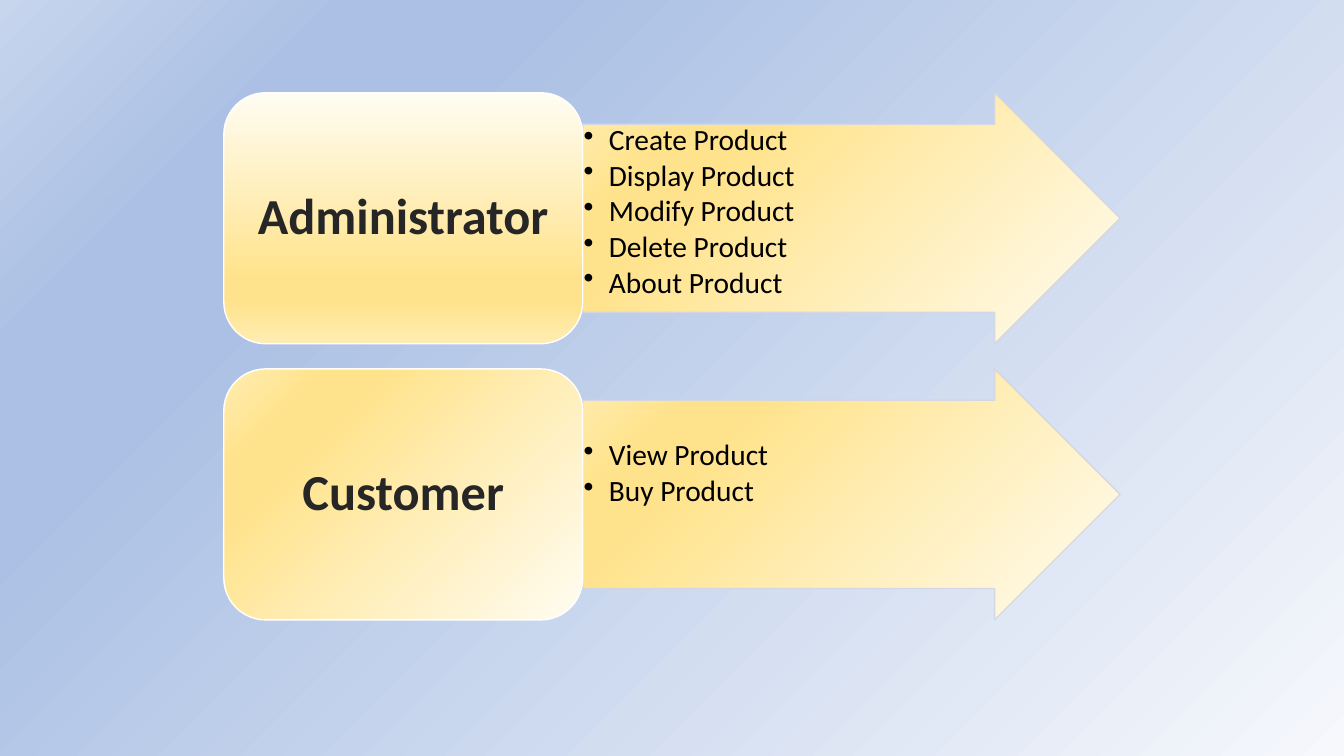
from dataclasses import dataclass
from typing import Optional

from lxml import etree
from pptx import Presentation
from pptx.dml.color import RGBColor
from pptx.enum.shapes import MSO_SHAPE
from pptx.enum.text import MSO_ANCHOR, PP_ALIGN
from pptx.oxml.ns import qn
from pptx.util import Inches, Pt

ARROW, BOX = MSO_SHAPE.RIGHT_ARROW, MSO_SHAPE.ROUNDED_RECTANGLE
TOP, MIDDLE = MSO_ANCHOR.TOP, MSO_ANCHOR.MIDDLE
LEFT, CENTER = PP_ALIGN.LEFT, PP_ALIGN.CENTER

FONT = "Calibri"
BLUES = ((0, "F6F8FC"), (74, "ABC0E4"), (83, "ABC0E4"), (100, "C7D5ED"))
GOLDS = ((0, "FFFCF2"), (74, "FFE38C"), (83, "FFE38C"), (100, "FFECB2"))
BOX_LEFT, BOX_WIDTH, ARROW_WIDTH = 2.22, 3.56, 5.33
FIRST_TOP, ROW_HEIGHT, ROW_PITCH = 0.92, 2.49, 2.74


@dataclass
class Role:
    name: str
    actions: list[str]
    angle: Optional[int] = None
    list_inset: float = 0.01


ROLES = [
    Role("Administrator", ["Create Product", "Display Product", "Modify Product",
                           "Delete Product", "About Product"], angle=90),
    Role("Customer", ["View Product", "Buy Product"], list_inset=0.4),
]


def color(value: str) -> RGBColor:
    return RGBColor.from_string(value)


def add_xml(parent, tag: str, **attrs):
    return etree.SubElement(parent, qn(tag), {k: str(v) for k, v in attrs.items()})


def set_gradient(fill, owner, stops, angle: Optional[int] = None) -> None:
    fill.gradient()
    grad = next(owner.iter(qn("a:gradFill")))
    grad.clear()
    grad.set("rotWithShape", "1")
    stop_list = add_xml(grad, "a:gsLst")
    for pos, value in stops:
        stop = add_xml(stop_list, "a:gs", pos=pos * 1000)
        add_xml(stop, "a:srgbClr", val=value)
    if angle is None:
        shade = add_xml(grad, "a:path", path="circle")
        add_xml(shade, "a:fillToRect", l=100000, t=100000)
    else:
        add_xml(grad, "a:lin", ang=angle * 60000, scaled=0)


def add_block(s, kind, left: float, top: float, width: float, line: str,
              angle: Optional[int] = None, opacity: int = 100):
    sp = s.shapes.add_shape(kind, Inches(left), Inches(top),
                            Inches(width), Inches(ROW_HEIGHT))
    sp.shadow.inherit = False
    set_gradient(sp.fill, sp.element, GOLDS, angle)
    sp.line.color.rgb = color(line)
    sp.line.width = Pt(1)
    if opacity < 100:
        clr = next(sp.line._ln.iter(qn("a:srgbClr")))
        add_xml(clr, "a:alpha", val=opacity * 1000)
    return sp


def set_text(sp, lines: list[str], *, size: int, fill: str, after: float,
             insets: tuple[float, float, float, float], anchor=TOP, align=LEFT,
             bold: bool = False, bullet: bool = False,
             outline: Optional[str] = None) -> None:
    tf = sp.text_frame
    tf.word_wrap = True
    tf.vertical_anchor = anchor
    tf.margin_left, tf.margin_top, tf.margin_right, tf.margin_bottom = map(Inches, insets)
    for i, text in enumerate(lines):
        p = tf.add_paragraph() if i else tf.paragraphs[0]
        p.alignment = align
        p.line_spacing = 0.9
        p.space_after = Pt(after)
        if bullet:
            p.level = 1
            ppr = p._p.get_or_add_pPr()
            ppr.set("marL", str(Inches(0.25)))
            ppr.set("indent", str(Inches(-0.25)))
            add_xml(ppr, "a:buChar", char="•")
        r = p.add_run()
        r.text = text
        r.font.name, r.font.size, r.font.bold = FONT, Pt(size), bold
        r.font.color.rgb = color(fill)
        if outline:
            ln = etree.Element(qn("a:ln"), w=str(Pt(1.06)))
            add_xml(add_xml(ln, "a:solidFill"), "a:srgbClr", val=outline)
            r.font._element.insert(0, ln)


def add_role(s, role: Role, top: float) -> None:
    arrow = add_block(s, ARROW, BOX_LEFT + BOX_WIDTH, top, ARROW_WIDTH,
                      "CFD5EA", opacity=90)
    arrow.adjustments[0], arrow.adjustments[1] = 0.75, 0.5
    set_text(arrow, role.actions, size=21, fill="000000", after=2.8, bullet=True,
             insets=(0.01, role.list_inset, 0.01, 0.01))
    box = add_block(s, BOX, BOX_LEFT, top, BOX_WIDTH, "FFFFFF", angle=role.angle)
    set_text(box, [role.name], size=36, fill="262626", after=0, bold=True,
             outline="FFFFFF", anchor=MIDDLE, align=CENTER,
             insets=(0.15, 0.07, 0.15, 0.07))


prs = Presentation()
prs.slide_width, prs.slide_height = Inches(13.33), Inches(7.5)
s = prs.slides.add_slide(prs.slide_layouts[6])
set_gradient(s.background.fill, s.element, BLUES)
for row, role in enumerate(ROLES):
    add_role(s, role, FIRST_TOP + row * ROW_PITCH)
prs.save("out.pptx")
